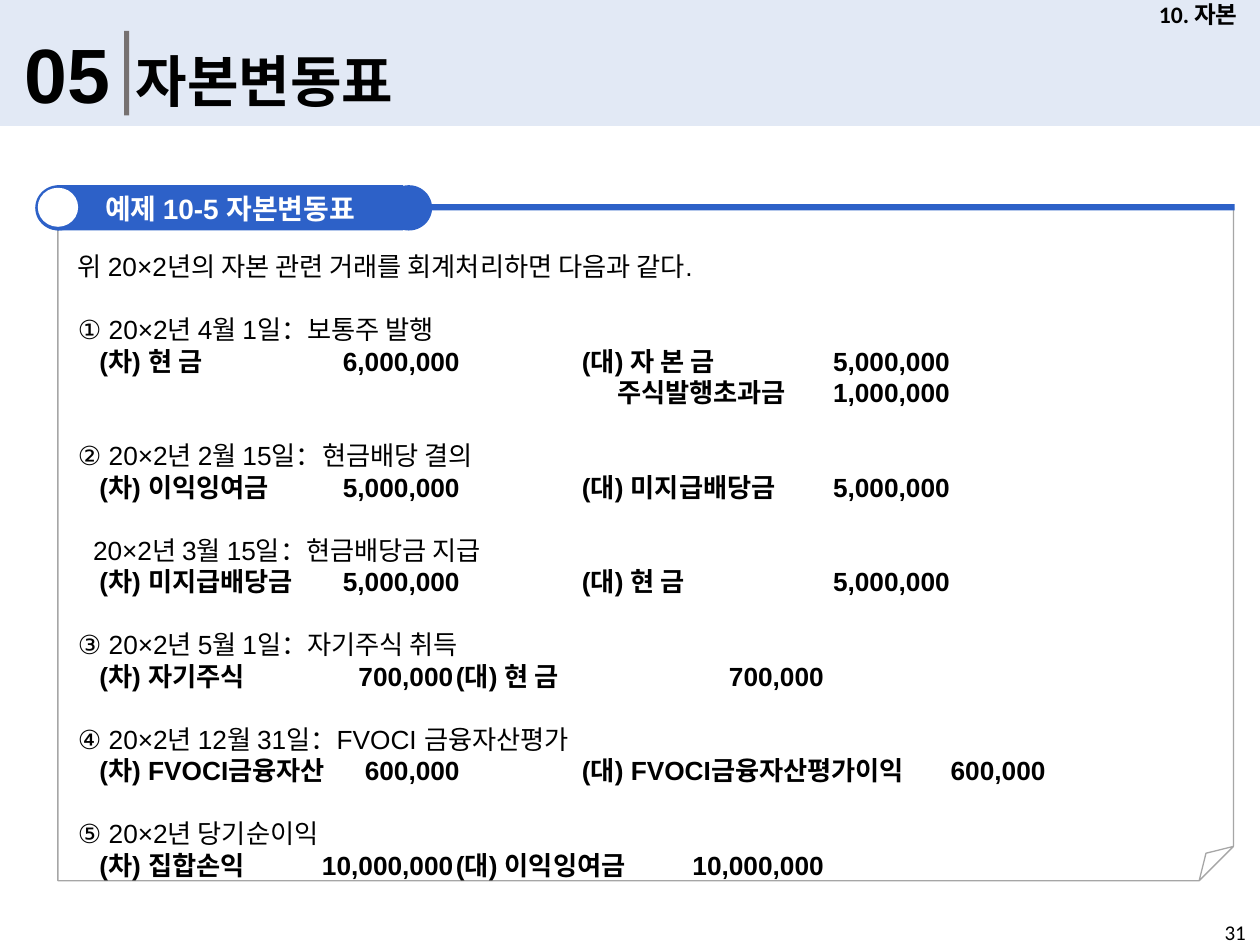
from lxml import etree
from pptx import Presentation
from pptx.dml.color import RGBColor
from pptx.enum import shapes, text
from pptx.oxml.ns import qn
from pptx.util import Inches, Pt

BLACK = RGBColor(0x00, 0x00, 0x00)
WHITE = RGBColor(0xFF, 0xFF, 0xFF)
PALE_BLUE = RGBColor(0xDA, 0xE3, 0xF3)
BLUE = RGBColor(0x2D, 0x61, 0xC8)
WARM_GRAY = RGBColor(0x76, 0x71, 0x71)
BORDER_GRAY = RGBColor(0xA6, 0xA6, 0xA6)
SHAPE = shapes.MSO_SHAPE

NOTE, DATE, ENTRY = "note", "date", "entry"
WIDE = ((0.17, "l"), (3.03, "r"), (4, "l"), (6.92, "r"))
NARROW = ((0.17, "l"), (2.98, "r"), (3, "l"), (5.92, "r"))
LONG = ((0.17, "l"), (3.03, "r"), (4, "l"), (7.68, "r"))
EXTRA = ((4.28, "l"), (6.92, "r"))
SUBDATE = ((0.12, "l"),)

JOURNAL = [
    (NOTE, "위 20×2년의 자본 관련 거래를 회계처리하면 다음과 같다.", ()),
    (DATE, "① 20×2년 4월 1일：보통주 발행", ()),
    (ENTRY, "\t(차) 현 금\t6,000,000\t(대) 자 본 금\t5,000,000", WIDE),
    (ENTRY, "\t주식발행초과금\t1,000,000", EXTRA),
    (DATE, "② 20×2년 2월 15일：현금배당 결의", ()),
    (ENTRY, "\t(차) 이익잉여금\t5,000,000\t(대) 미지급배당금\t5,000,000", WIDE),
    (DATE, "\t20×2년 3월 15일：현금배당금 지급", SUBDATE),
    (ENTRY, "\t(차) 미지급배당금\t5,000,000\t(대) 현 금\t5,000,000", WIDE),
    (DATE, "③ 20×2년 5월 1일：자기주식 취득", ()),
    (ENTRY, "\t(차) 자기주식\t700,000\t(대) 현 금\t700,000", NARROW),
    (DATE, "④ 20×2년 12월 31일：FVOCI 금융자산평가", ()),
    (ENTRY, "\t(차) FVOCI금융자산\t600,000\t(대) FVOCI금융자산평가이익\t600,000", LONG),
    (DATE, "⑤ 20×2년 당기순이익", ()),
    (ENTRY, "\t(차) 집합손익\t10,000,000\t(대) 이익잉여금\t10,000,000", NARROW),
]


def add_block(slide, kind, left, top, width, height, fill=None):
    block = slide.shapes.add_shape(
        kind, Inches(left), Inches(top), Inches(width), Inches(height))
    block.shadow.inherit = False
    block.line.fill.background()
    if fill is None:
        block.fill.background()
    else:
        block.fill.solid()
        block.fill.fore_color.rgb = fill
    return block


def style(font, size, name, color=BLACK, bold=False):
    font.size = Pt(size)
    font.name = name
    font.color.rgb = color
    font.bold = bold


def add_label(slide, left, top, width, height, words, size, name, bold=True):
    label = slide.shapes.add_textbox(
        Inches(left), Inches(top), Inches(width), Inches(height))
    label.text_frame.word_wrap = True
    label.text_frame.text = words
    style(label.text_frame.paragraphs[0].runs[0].font, size, name, bold=bold)
    return label


def set_tabs(paragraph, stops):
    tab_list = etree.SubElement(paragraph._p.get_or_add_pPr(), qn("a:tabLst"))
    for position, side in stops:
        etree.SubElement(tab_list, qn("a:tab"),
                         pos=str(int(Inches(position))), algn=side)


def add_header(slide, left, top, width, height):
    band = add_block(slide, SHAPE.RECTANGLE, left, top, width, height, PALE_BLUE)
    tint = band._element.spPr.find(qn("a:solidFill")).find(qn("a:srgbClr"))
    etree.SubElement(tint, qn("a:alpha"), val="76000")
    add_label(slide, left + 0.1, top + 0.16, 0.97, 0.84, "05", 44, "Arial")
    divider = add_block(slide, SHAPE.RECTANGLE,
                        left + 0.67, top + 0.56, 0.67, 0.04, WARM_GRAY)
    divider.rotation = 270
    add_label(slide, left + 0.98, top + 0.32, 2.68, 0.64,
              "자본변동표", 32, "Calibri")
    chapter = add_label(slide, left + width - 0.98, top, 0.98, 0.23,
                        "10. 자본", 13.5, "Calibri")
    chapter.text_frame.vertical_anchor = text.MSO_ANCHOR.MIDDLE
    chapter.text_frame.paragraphs[0].alignment = text.PP_ALIGN.CENTER


def add_example_frame(slide, left, top, width, height):
    page = add_block(slide, SHAPE.FOLDED_CORNER,
                     left + 0.18, top + 0.18, width - 0.19, height - 0.18)
    guides = page._element.spPr.find(qn("a:prstGeom")).get_or_add_avLst()
    for guide in list(guides):
        guides.remove(guide)
    etree.SubElement(guides, qn("a:gd"), name="adj", fmla="val 5100")
    page.line.color.rgb = BORDER_GRAY
    page.line.width = Pt(0.75)
    add_block(slide, SHAPE.RECTANGLE, left + 0.19, top + 0.15, width - 0.19, 0.05, BLUE)
    for cap_left in (left, left + 2.78):
        add_block(slide, SHAPE.OVAL, cap_left, top, 0.37, 0.36, BLUE)
    heading = add_block(slide, SHAPE.RECTANGLE, left + 0.17, top, 2.75, 0.36, BLUE)
    heading.text_frame.vertical_anchor = text.MSO_ANCHOR.MIDDLE
    title = heading.text_frame.paragraphs[0]
    title.alignment = text.PP_ALIGN.CENTER
    for words, name in (("예제 ", "Calibri"), ("10-5 ", "Arial"),
                        ("자본변동표", "Calibri")):
        part = title.add_run()
        part.text = words
        style(part.font, 16, name, WHITE, True)
    add_block(slide, SHAPE.OVAL, left + 0.02, top + 0.02, 0.32, 0.31, WHITE)


def add_journal(slide, left, top, width, height):
    journal = slide.shapes.add_textbox(
        Inches(left), Inches(top), Inches(width), Inches(height))
    frame = journal.text_frame
    frame.word_wrap = True
    for index, (role, words, stops) in enumerate(JOURNAL):
        line = frame.add_paragraph() if index else frame.paragraphs[0]
        line.text = words
        if role == DATE:
            line.space_before = Pt(18)
        if stops:
            set_tabs(line, stops)
        for run in line.runs:
            style(run.font, 15, "Arial", bold=role == ENTRY)


def main():
    deck = Presentation()
    deck.slide_width = Inches(10)
    deck.slide_height = Inches(7.5)
    slide = deck.slides.add_slide(deck.slide_layouts[6])
    add_header(slide, 0, 0, 10, 1)
    add_example_frame(slide, 0.28, 1.47, 9.52, 5.52)
    add_label(slide, 9.62, 7.25, 2.25, 0.4, "31", 12, "Calibri", bold=False)
    add_journal(slide, 0.52, 1.94, 9.46, 5.15)
    deck.save("out.pptx")


if __name__ == "__main__":
    main()
